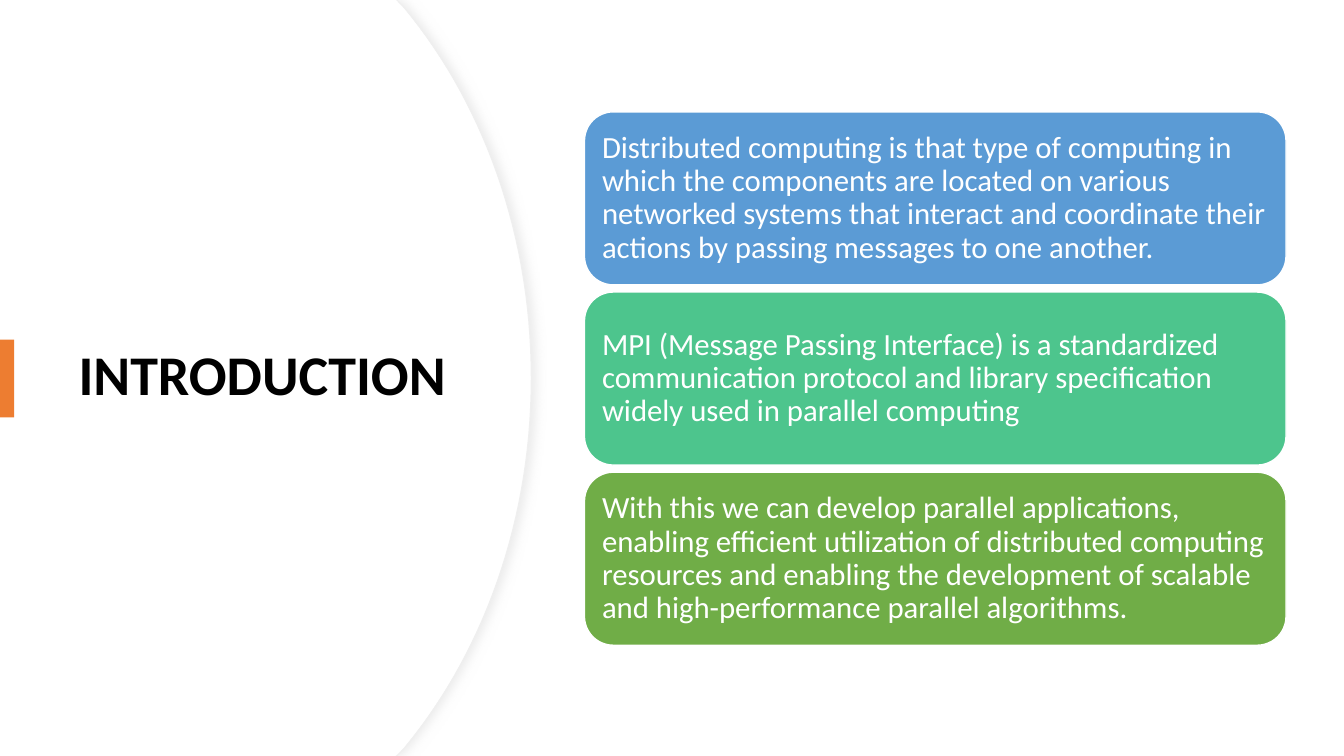
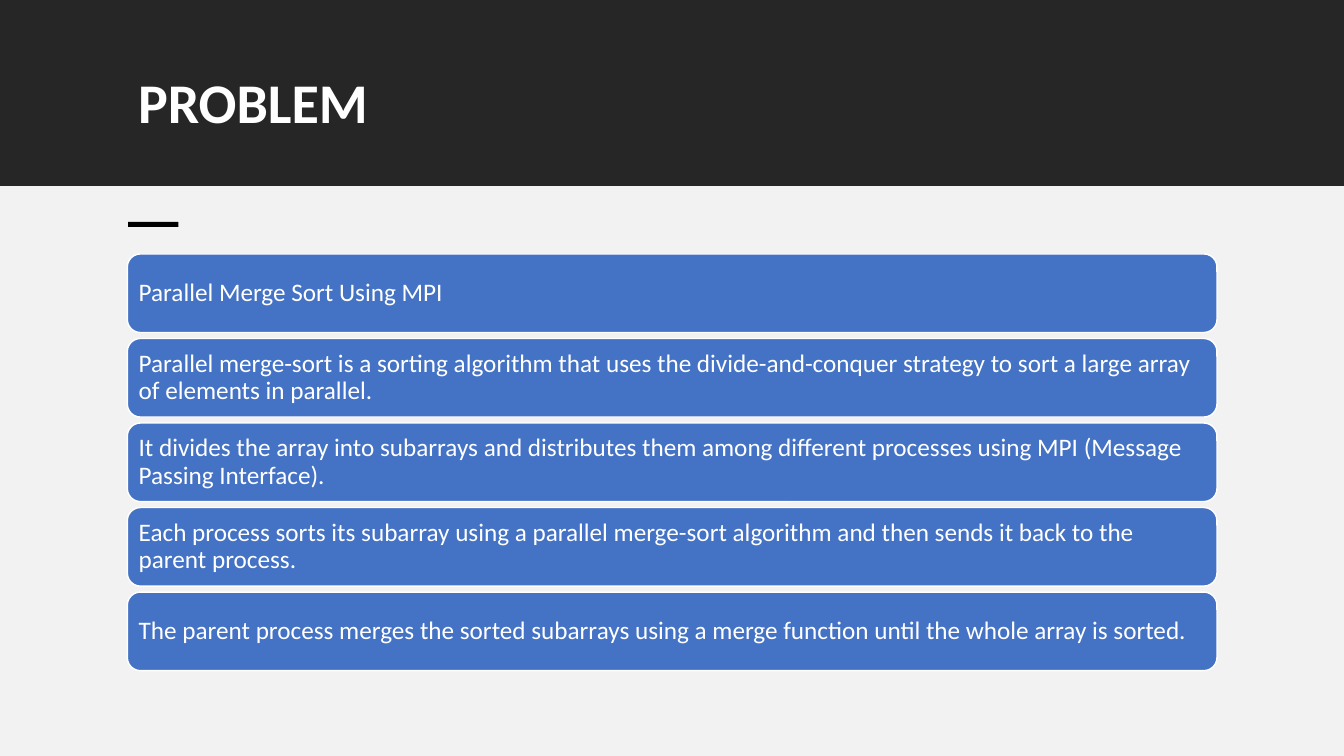
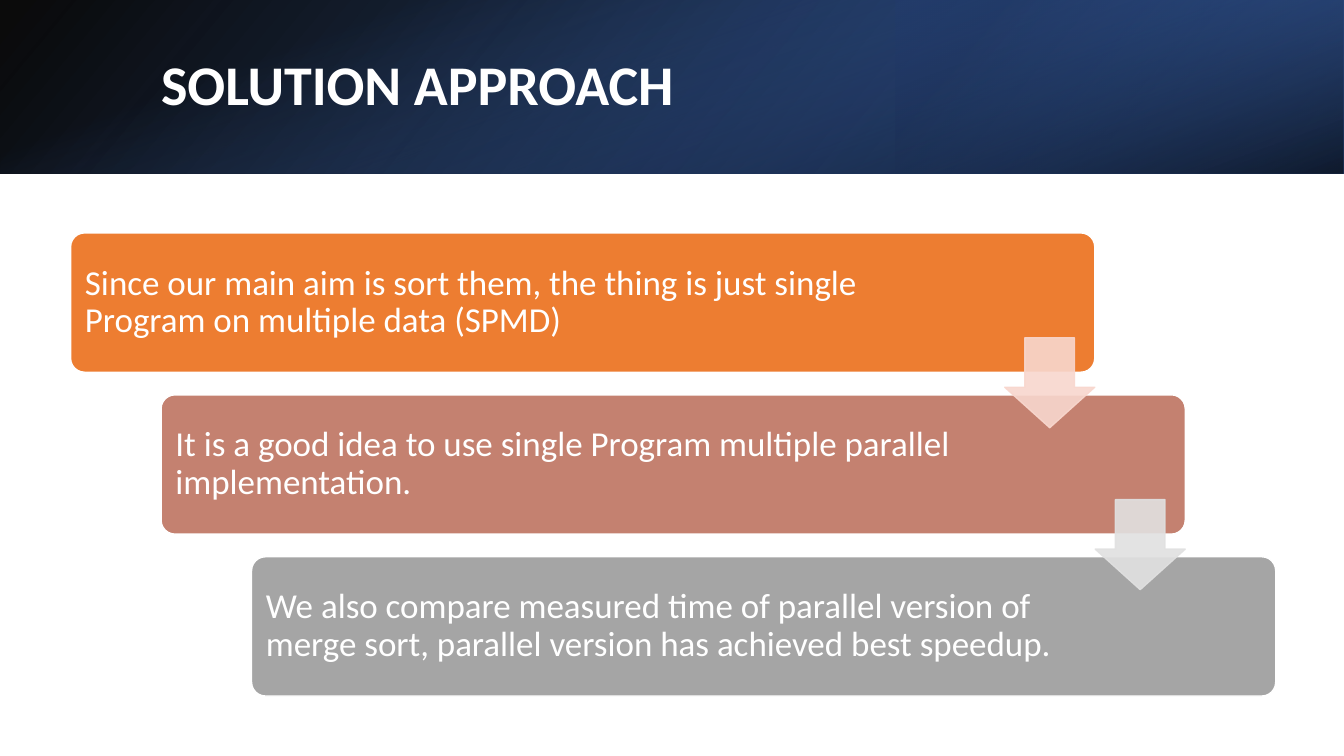
from dataclasses import dataclass
from typing import Any, Optional

from lxml.etree import SubElement
from pptx import Presentation
from pptx.dml.color import RGBColor
from pptx.enum.shapes import MSO_SHAPE
from pptx.enum.text import MSO_ANCHOR, PP_ALIGN
from pptx.oxml import parse_xml
from pptx.oxml.ns import nsdecls, qn
from pptx.util import Cm, Pt


@dataclass(frozen=True)
class Theme:
    font: str = "Calibri"
    title_size: int = 40
    line_spacing: float = 0.9
    white: str = "FFFFFF"
    black: str = "000000"
    charcoal: str = "262626"
    pale: str = "F2F2F2"
    edge: str = "EFEFEF"
    shadow: str = "D9D9D9"
    orange: str = "ED7D31"
    sky: str = "5B9BD5"
    mint: str = "4DC58D"
    green: str = "70AD47"
    blue: str = "4472C4"
    deep_blue: str = "2F5597"
    navy: str = "203864"
    clay: str = "C48170"
    grey: str = "A5A5A5"
    arrow_pink: str = "F8D7CE"
    arrow_grey: str = "E1E1E1"


THEME = Theme()
WIDTH, HEIGHT = 33.87, 19.05
BANNER = 4.37


# All lengths below are centimetres
@dataclass(frozen=True)
class Area:
    left: float
    top: float
    width: float
    height: float

    def moved(self, right: float, down: float) -> "Area":
        return Area(self.left + right, self.top + down, self.width, self.height)

    def lengths(self) -> list[Cm]:
        return [Cm(v) for v in (self.left, self.top, self.width, self.height)]


@dataclass(frozen=True)
class Card:
    text: str
    fill: str
    spare_right: float = 0


@dataclass(frozen=True)
class CardStyle:
    first: Area
    step_right: float
    step_down: float
    size: int
    inset: float
    corner: float = 0.1667


@dataclass(frozen=True)
class Stop:
    position: int
    color: str
    alpha: int = 100


@dataclass(frozen=True)
class GradientLayer:
    area: Area
    stops: tuple[Stop, ...]
    angle: int
    rotation: int = 0
    flipped: bool = False


# Shared drawing functions
def apply(target: Any, values: dict[str, Any]) -> None:
    for name, value in values.items():
        setattr(target, name, value)


def paint(shape: Any, fill: str, line: Optional[str] = None,
          weight: float = 1, alpha: int = 100) -> None:
    shape.shadow.inherit = False
    shape.fill.solid()
    shape.fill.fore_color.rgb = RGBColor.from_string(fill)
    if line:
        shape.line.color.rgb = RGBColor.from_string(line)
        shape.line.width = Pt(weight)
    else:
        shape.line.fill.background()
    if alpha < 100:
        for color in shape._element.spPr.iter(qn("a:srgbClr")):
            SubElement(color, qn("a:alpha")).set("val", str(alpha * 1000))


def add_block(page: Any, area: Area, fill: str, kind: MSO_SHAPE = MSO_SHAPE.RECTANGLE,
              adjustments: tuple[float, ...] = (), **colors: Any) -> Any:
    shape = page.shapes.add_shape(kind, *area.lengths())
    for index, value in enumerate(adjustments):
        shape.adjustments[index] = value
    paint(shape, fill, **colors)
    return shape


def write(box: Any, text: str, size: int, color: str, bold: bool = False,
          **frame_format: Any) -> None:
    frame = box.text_frame
    apply(frame, {"word_wrap": True, "vertical_anchor": MSO_ANCHOR.MIDDLE} | frame_format)
    para = frame.paragraphs[0]
    apply(para, {"alignment": PP_ALIGN.LEFT, "line_spacing": THEME.line_spacing})
    span = para.add_run()
    span.text = text
    apply(span.font, {"name": THEME.font, "size": Pt(size), "bold": bold})
    span.font.color.rgb = RGBColor.from_string(color)


def add_title(page: Any, text: str, area: Area, color: str = THEME.white,
              anchor: MSO_ANCHOR = MSO_ANCHOR.MIDDLE) -> None:
    box = page.shapes.add_textbox(*area.lengths())
    write(box, text, THEME.title_size, color, bold=True, vertical_anchor=anchor)


def add_cards(page: Any, cards: list[Card], style: CardStyle) -> None:
    for index, card in enumerate(cards):
        area = style.first.moved(index * style.step_right, index * style.step_down)
        box = add_block(page, area, card.fill, MSO_SHAPE.ROUNDED_RECTANGLE,
                        (style.corner,), line=THEME.white)
        inset = Cm(style.inset)
        write(box, card.text, style.size, THEME.white,
              margin_left=inset, margin_top=inset, margin_bottom=inset,
              margin_right=Cm(style.inset + card.spare_right))


def add_gradient(page: Any, layer: GradientLayer) -> None:
    shape = add_block(page, layer.area, THEME.black)
    shape.rotation = layer.rotation
    properties = shape._element.spPr
    if layer.flipped:
        properties.find(qn("a:xfrm")).set("flipH", "1")
    stops = "".join(
        f'<a:gs pos="{stop.position * 1000}"><a:srgbClr val="{stop.color}">'
        f'<a:alpha val="{stop.alpha * 1000}"/></a:srgbClr></a:gs>'
        for stop in layer.stops)
    gradient = parse_xml(
        f'<a:gradFill {nsdecls("a")} rotWithShape="1"><a:gsLst>{stops}</a:gsLst>'
        f'<a:lin ang="{layer.angle * 60000}" scaled="0"/></a:gradFill>')
    properties.replace(properties.find(qn("a:solidFill")), gradient)


def add_curved_panel(page: Any, reach: float) -> Any:
    """Draw a white panel whose right edge bulges out to the given reach."""
    corner, bend, middle = reach - 3.2, reach - 1.22, HEIGHT / 2
    curve = ((corner, 0.2), (bend, 2.59), (reach, 5.89), (reach, middle))
    steps = 30
    upper = [(reach - 3.39, 0.0)]
    for step in range(steps + 1):
        t = step / steps
        weights = ((1 - t) ** 3, 3 * t * (1 - t) ** 2, 3 * t * t * (1 - t), t ** 3)
        upper.append((sum(w * x for w, (x, _) in zip(weights, curve)),
                      sum(w * y for w, (_, y) in zip(weights, curve))))
    lower = [(x, HEIGHT - y) for x, y in reversed(upper[:-1])]
    outline = upper + lower + [(0, HEIGHT)]
    builder = page.shapes.build_freeform(0, 0)
    builder.add_line_segments([(Cm(x), Cm(y)) for x, y in outline], close=True)
    return builder.convert_to_shape()


def add_soft_shadow(shape: Any) -> None:
    effects = shape._element.spPr.find(qn("a:effectLst"))
    effects.append(parse_xml(
        f'<a:outerShdw {nsdecls("a")} blurRad="{Cm(0.25)}" dist="{Cm(0.11)}" dir="0" '
        f'algn="l" rotWithShape="0"><a:srgbClr val="{THEME.shadow}">'
        f'<a:alpha val="50000"/></a:srgbClr></a:outerShdw>'))


# Slide 1
def build_introduction(page: Any) -> None:
    outer = add_curved_panel(page, 13.39)
    paint(outer, THEME.white, THEME.edge, 0.75)
    add_soft_shadow(outer)
    paint(add_curved_panel(page, 13.36), THEME.white)
    add_title(page, "INTRODUCTION", Area(1.73, 3.23, 10.01, 12.57), THEME.black)
    add_block(page, Area(0, 8.56, 0.36, 1.96), THEME.orange)
    cards = [
        Card("Distributed computing is that type of computing in which the components "
             "are located on various networked systems that interact and coordinate "
             "their actions by passing messages to one another.", THEME.sky),
        Card("MPI (Message Passing Interface) is a standardized communication protocol "
             "and library specification widely used in parallel computing", THEME.mint),
        Card("With this we can develop parallel applications, enabling efficient "
             "utilization of distributed computing resources and enabling the "
             "development of scalable and high-performance parallel algorithms.",
             THEME.green),
    ]
    add_cards(page, cards, CardStyle(Area(14.73, 2.82, 17.68, 4.36), 0, 4.54, 22, 0.23))


# Slide 2
def build_problem(page: Any) -> None:
    add_block(page, Area(0, -0.03, WIDTH, 4.72), THEME.charcoal)
    add_title(page, "PROBLEM", Area(3.23, 1.78, 27.46, 2.49), anchor=MSO_ANCHOR.TOP)
    add_block(page, Area(0, 4.69, WIDTH, HEIGHT - 4.69), THEME.pale)
    add_block(page, Area(3.23, 5.59, 1.27, 0.13), THEME.black)
    statements = [
        "Parallel Merge Sort Using MPI",
        "Parallel merge-sort is a sorting algorithm that uses the divide-and-conquer "
        "strategy to sort a large array of elements in parallel.",
        "It divides the array into subarrays and distributes them among different "
        "processes using MPI (Message Passing Interface).",
        "Each process sorts its subarray using a parallel merge-sort algorithm and "
        "then sends it back to the parent process.",
        "The parent process merges the sorted subarrays using a merge function until "
        "the whole array is sorted.",
    ]
    add_cards(page, [Card(text, THEME.blue) for text in statements],
              CardStyle(Area(3.21, 6.4, 27.46, 1.98), 0, 2.13, 18, 0.19))


# Slide 3
def build_solution(page: Any) -> None:
    center = (WIDTH - BANNER) / 2
    layers = [
        GradientLayer(Area(0, 0, WIDTH, BANNER),
                      (Stop(0, THEME.black, 96), Stop(100, THEME.deep_blue)),
                      140, flipped=True),
        GradientLayer(Area(WIDTH * 2 / 3, 0, WIDTH / 3, BANNER),
                      (Stop(19, THEME.navy, 68), Stop(100, THEME.blue, 79)),
                      320, rotation=180, flipped=True),
        GradientLayer(Area(center, -center, BANNER, WIDTH),
                      (Stop(23, THEME.blue, 0), Stop(99, THEME.black, 74)),
                      340, rotation=90),
    ]
    for layer in layers:
        add_gradient(page, layer)
    add_title(page, "SOLUTION APPROACH", Area(3.81, 0.97, 27.89, 2.44))
    cards = [
        Card("Since our main aim is sort them, the thing is just single Program on "
             "multiple data (SPMD)", THEME.orange, 3.58),
        Card("It is a good idea to use single Program multiple parallel "
             "implementation.", THEME.clay, 4.55),
        Card("We also compare measured time of parallel version of merge sort, "
             "parallel version has achieved best speedup.", THEME.grey, 4.55),
    ]
    style = CardStyle(Area(1.78, 5.87, 25.81, 3.51), 2.28, 4.08, 25, 0.26, 0.1)
    add_cards(page, cards, style)
    first_arrow = Area(25.32, 8.51, 2.27, 2.27)
    for index, color in enumerate((THEME.arrow_pink, THEME.arrow_grey)):
        area = first_arrow.moved(index * style.step_right, index * style.step_down)
        # Down arrow adjustments: head length, then shaft width
        arrow = add_block(page, area, color, MSO_SHAPE.DOWN_ARROW, line=color, alpha=90)
        apply(arrow, {"name": f"Step arrow {index + 1}"})
        arrow.adjustments[0], arrow.adjustments[1] = 0.55, 0.45


def main() -> None:
    deck = Presentation()
    apply(deck, {"slide_width": Cm(WIDTH), "slide_height": Cm(HEIGHT)})
    for build in (build_introduction, build_problem, build_solution):
        build(deck.slides.add_slide(deck.slide_layouts[6]))
    deck.save("out.pptx")


if __name__ == "__main__":
    main()
